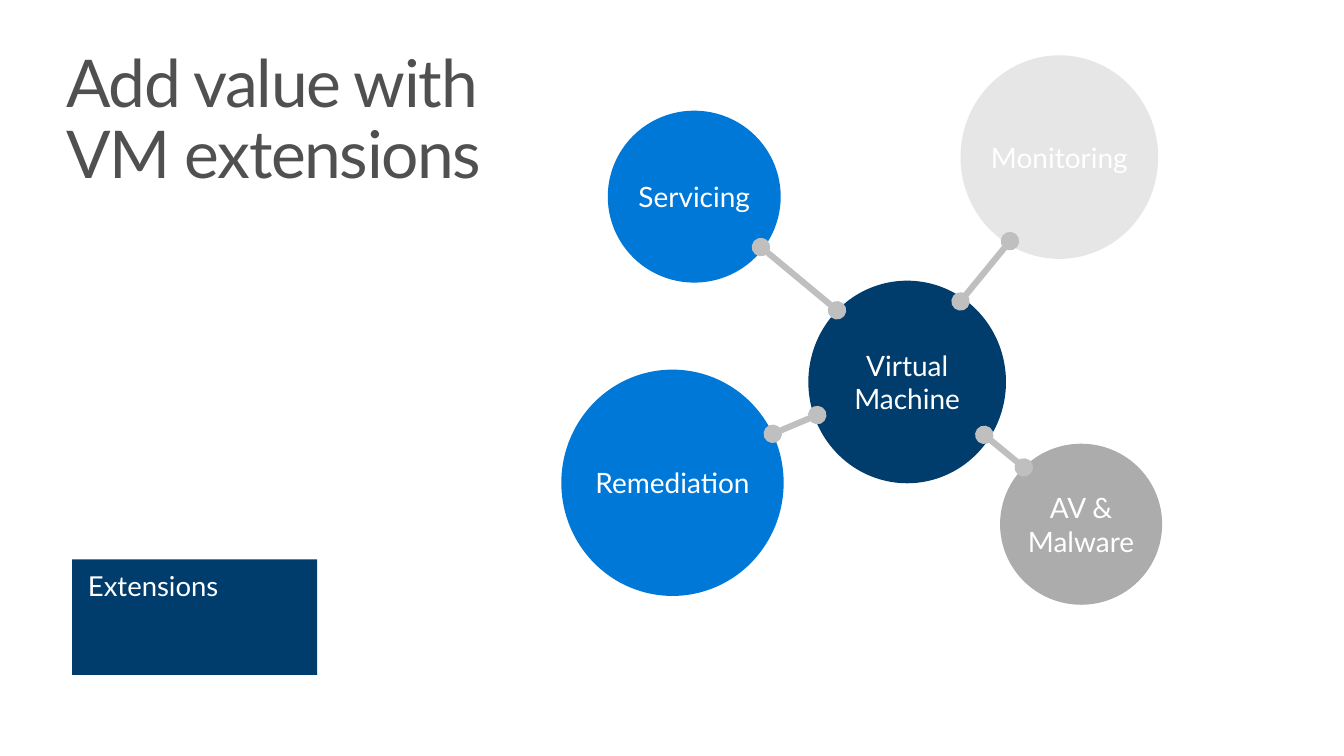
from lxml.etree import SubElement
from pptx import Presentation
from pptx.dml.color import RGBColor
from pptx.enum.shapes import MSO_CONNECTOR, MSO_SHAPE
from pptx.enum.text import MSO_ANCHOR, PP_ALIGN
from pptx.oxml.ns import qn
from pptx.util import Inches, Pt

COLORS = {
    "title": "505050",
    "white": "FFFFFF",
    "navy": "003C6C",
    "blue": "0078D7",
    "gray": "ACACAC",
    "pale": "E6E6E6",
    "link": "BFBFBF",
}

CIRCLES = [
    ("Monitoring", "pale", 9.72, 0.56, 2, 2.06),
    ("Servicing", "blue", 6.15, 1.12, 1.75, 1.74),
    ("AV & Malware", "gray", 10.12, 4.49, 1.64, 1.63),
    ("Virtual Machine", "navy", 8.18, 2.84, 2, 2.05),
    ("Remediation", "blue", 5.68, 3.74, 2.25, 2.29),
]

LINKS = [
    (10.22, 2.44, 9.72, 3.05),
    (10.36, 4.73, 9.96, 4.4),
    (7.82, 4.39, 8.27, 4.2),
    (7.7, 2.5, 8.47, 3.14),
]


def color(name):
    return RGBColor.from_string(COLORS[name])


def write_text(shape, text, size, color_name, anchor, alignment, margin_x, margin_y):
    frame = shape.text_frame
    frame.word_wrap = True
    frame.vertical_anchor = anchor
    frame.margin_left = frame.margin_right = Inches(margin_x)
    frame.margin_top = frame.margin_bottom = Inches(margin_y)
    frame.text = text
    paragraph = frame.paragraphs[0]
    paragraph.alignment = alignment
    for run in paragraph.runs:
        run.font.name = "Lato"
        run.font.size = Pt(size)
        run.font.color.rgb = color(color_name)
    return paragraph


def add_filled_shape(slide, kind, fill, *box):
    shape = slide.shapes.add_shape(kind, *map(Inches, box))
    shape.shadow.inherit = False
    shape.fill.solid()
    shape.fill.fore_color.rgb = color(fill)
    shape.line.fill.background()
    return shape


def add_circle(slide, label, fill, *box):
    circle = add_filled_shape(slide, MSO_SHAPE.OVAL, fill, *box)
    write_text(circle, label, 20.4, "white", MSO_ANCHOR.MIDDLE, PP_ALIGN.CENTER, 0, 0.05)


def add_link(slide, *ends):
    link = slide.shapes.add_connector(MSO_CONNECTOR.STRAIGHT, *map(Inches, ends))
    link.line.color.rgb = color("link")
    link.line.width = Pt(4.5)
    properties = link._element.spPr
    outline = properties.find(qn("a:ln"))
    for tag in ("a:headEnd", "a:tailEnd"):
        SubElement(outline, qn(tag), type="oval")
    SubElement(properties, qn("a:effectLst"))


def add_title(slide, text, *box):
    title = slide.shapes.add_textbox(*map(Inches, box))
    paragraph = write_text(title, text, 48, "title", MSO_ANCHOR.TOP, PP_ALIGN.LEFT, 0.16, 0.1)
    paragraph.line_spacing = 0.9
    for run in paragraph.runs:
        run.font._element.set("spc", "-100")


def add_panel(slide, text, *box):
    panel = add_filled_shape(slide, MSO_SHAPE.RECTANGLE, "navy", *box)
    write_text(panel, text, 20, "white", MSO_ANCHOR.TOP, PP_ALIGN.LEFT, 0.16, 0.1)


def main():
    presentation = Presentation()
    presentation.slide_width = Inches(13.6)
    presentation.slide_height = Inches(7.65)
    slide = presentation.slides.add_slide(presentation.slide_layouts[6])

    for circle in CIRCLES:
        add_circle(slide, *circle)
    for link in LINKS:
        add_link(slide, *link)
    add_title(slide, "Add value with\vVM extensions", 0.51, 0.41, 8.5, 2)
    add_panel(slide, "Extensions", 0.73, 5.66, 2.48, 1.17)

    presentation.save("out.pptx")


if __name__ == "__main__":
    main()
